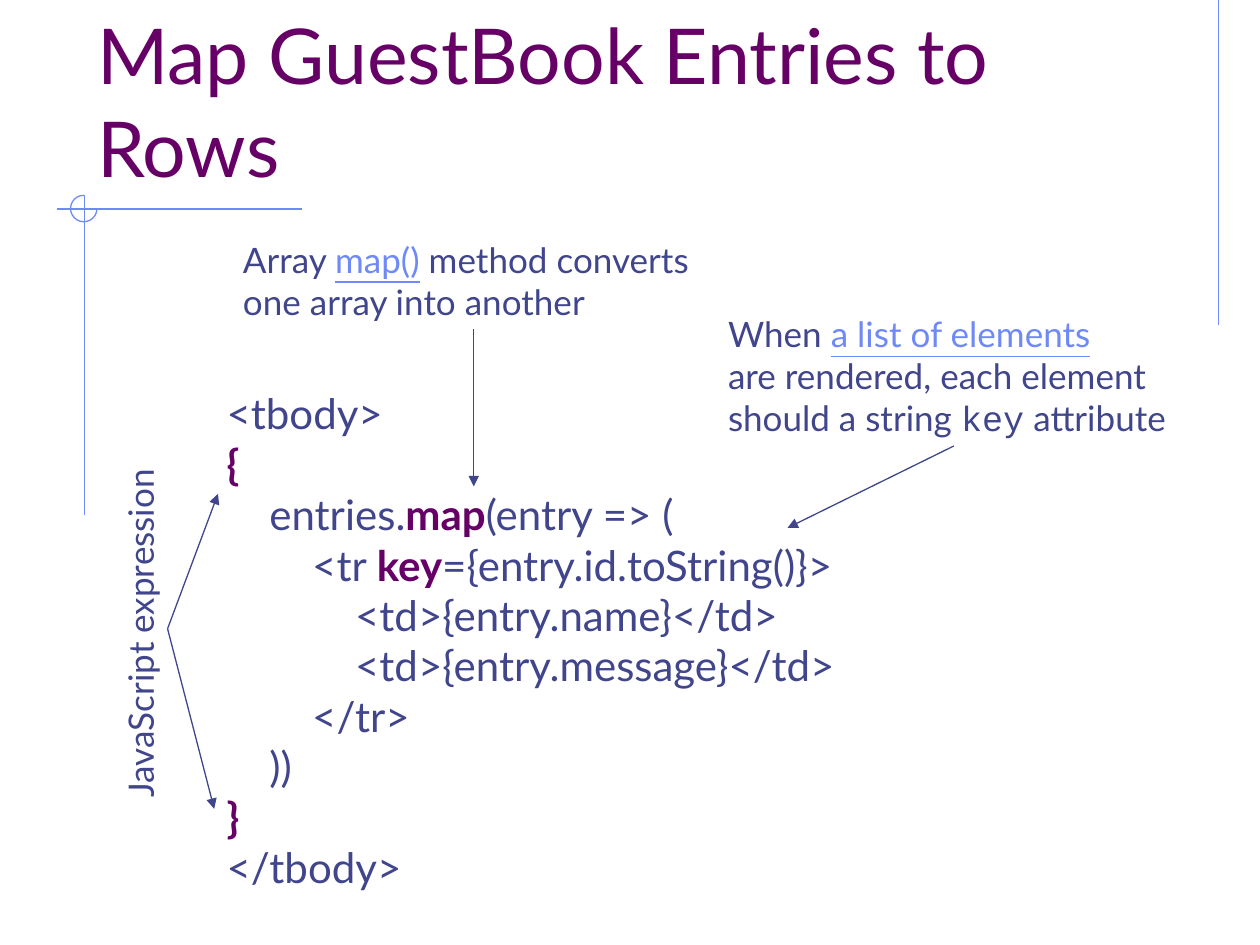
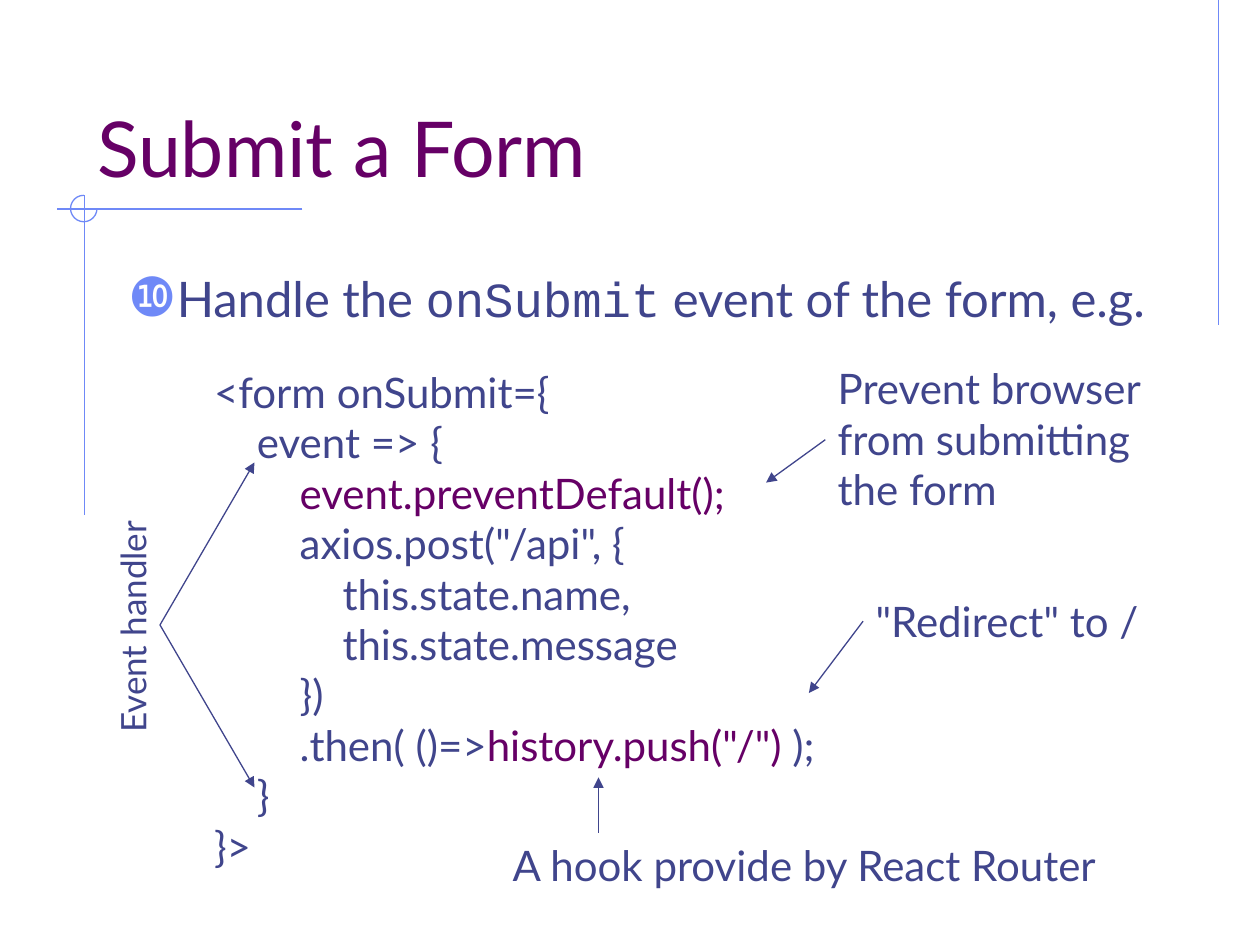
from lxml import etree
from pptx import Presentation
from pptx.dml.color import RGBColor
from pptx.enum.shapes import MSO_CONNECTOR, MSO_SHAPE
from pptx.enum.text import MSO_ANCHOR, MSO_AUTO_SIZE, PP_ALIGN
from pptx.oxml.ns import qn
from pptx.util import Inches, Pt

STRAIGHT = MSO_CONNECTOR.STRAIGHT
ARC = MSO_SHAPE.ARC
BOTTOM, TOP = MSO_ANCHOR.BOTTOM, MSO_ANCHOR.TOP
LEFT = PP_ALIGN.LEFT
FIXED, GROW = MSO_AUTO_SIZE.NONE, MSO_AUTO_SIZE.SHAPE_TO_FIT_TEXT

INK, PLUM, SKY = "40458C", "660066", "6F89F7"
FONT, MONO = "Lato", "Courier New"
CODE_INDENT = 0.34
THREE_QUARTER_TURN = 162

STYLES = {
    "plain": {},
    "title": {"color": PLUM},
    "strong": {"color": PLUM, "bold": True},
    "link": {"color": SKY, "underline": True},
    "mono": {"font": MONO},
}

RULES = [
    ((9.67, 0), (9.67, 2.58)),
    ((2.4, 1.66), (0.45, 1.66)),
    ((0.67, 1.55), (0.67, 4.09)),
]
CORNER_ARC = (0.56, 1.55, 0.21, 0.21)
TITLE_BOX = (0.67, 0.33, 8.5, 1.25)
BODY_BOX = (0.92, 2.08, 8.5, 0.67)

SLIDES = [
    {
        "title": "Map GuestBook Entries to Rows",
        "code_box": (1.7, 3.03, 5.63, 4.14),
        "code": [
            (0, ["<tbody>"]),
            (0, [("{", "strong")]),
            (1, ["entries.", ("map", "strong"), "(entry => ("]),
            (2, ["<tr ", ("key", "strong"), "={entry.id.toString()}>"]),
            (3, ["<td>{entry.name}</td>"]),
            (3, ["<td>{entry.message}</td>"]),
            (2, ["</tr>"]),
            (1, ["))"]),
            (0, [("}", "strong")]),
            (0, ["</tbody>"]),
        ],
        "side_label": ((-0.31, 4.78, 2.85, 0.44), "JavaScript expression"),
        "note_size": 20,
        "notes": [
            ((1.83, 1.84, 3.85, 0.77), [
                ["Array ", ("map()", "link"), " method converts"],
                ["one array into another"],
            ]),
            ((5.68, 2.43, 3.77, 1.11), [
                ["When ", ("a list of elements", "link")],
                ["are rendered, each element"],
                ["should a string ", ("key", "mono"), " attribute"],
            ]),
        ],
        "arrows": [
            ((1.33, 4.99), (1.73, 3.92)),
            ((1.33, 4.99), (1.7, 6.42)),
            ((3.76, 2.61), (3.76, 3.86)),
            ((7.57, 3.54), (6.25, 4.19)),
        ],
    },
    {
        "title": "Submit a Form",
        "body": ["Handle the ", ("onSubmit", "mono"), " event of the form, e.g."],
        "code_box": (1.6, 2.86, 5.59, 4.14),
        "code": [
            (0, ["<form onSubmit={"]),
            (1, ["event => {"]),
            (2, [("event.preventDefault();", "title")]),
            (2, ['axios.post("/api", {']),
            (3, ["this.state.name,"]),
            (3, ["this.state.message"]),
            (2, ["})"]),
            (2, [".then( ()=>", ('history.push("/")', "title"), " );"]),
            (1, ["}"]),
            (0, ["}>"]),
        ],
        "side_label": ((0.1, 4.74, 1.91, 0.44), "Event handler"),
        "note_size": 24,
        "notes": [
            ((6.55, 2.83, 2.62, 1.31),
             [["Prevent browser"], ["from submitting"], ["the form"]]),
            ((6.85, 4.68, 2.31, 0.5), [['"Redirect" to /']]),
            ((3.97, 6.61, 4.9, 0.5), [["A hook provide by React Router"]]),
        ],
        "arrows": [
            ((1.27, 4.96), (2.02, 3.67)),
            ((1.27, 4.96), (2.02, 6.25)),
            ((6.55, 3.49), (6.08, 3.83)),
            ((6.85, 4.93), (6.42, 5.5)),
            ((4.75, 6.61), (4.75, 6.17)),
        ],
    },
]


def rgb(color):
    return RGBColor.from_string(color)


def add_element(parent, tag, **attributes):
    return etree.SubElement(parent, qn(tag), attributes)


def place(shape, box):
    shape.left, shape.top, shape.width, shape.height = map(Inches, box)


def add_runs(paragraph, runs, size):
    paragraph.alignment = LEFT
    for item in runs:
        text, style_name = (item, "plain") if isinstance(item, str) else item
        style = STYLES[style_name]
        run = paragraph.add_run()
        run.text = text
        run.font.name = style.get("font", FONT)
        run.font.size = Pt(size)
        run.font.bold = style.get("bold", False)
        run.font.underline = style.get("underline", False)
        run.font.color.rgb = rgb(style.get("color", INK))


def add_text(slide, box, lines, size, wrap=False):
    shape = slide.shapes.add_textbox(*map(Inches, box))
    frame = shape.text_frame
    frame.word_wrap = wrap
    frame.auto_size = GROW
    for index, (level, runs) in enumerate(lines):
        paragraph = frame.add_paragraph() if index else frame.paragraphs[0]
        if level:
            properties = paragraph._p.get_or_add_pPr()
            properties.set("marL", str(Inches(level * CODE_INDENT)))
        add_runs(paragraph, runs, size)
    return shape


def fill_placeholder(shape, box, runs, size, anchor):
    place(shape, box)
    frame = shape.text_frame
    frame.word_wrap = True
    frame.auto_size = FIXED
    frame.vertical_anchor = anchor
    add_runs(frame.paragraphs[0], runs, size)
    return frame.paragraphs[0]


def add_bullet(paragraph):
    properties = paragraph._p.get_or_add_pPr()
    properties.set("marL", str(Inches(0.38)))
    properties.set("indent", str(Inches(-0.38)))
    add_element(add_element(properties, "a:buClr"), "a:srgbClr", val=SKY)
    add_element(properties, "a:buSzPct", val="110000")
    add_element(properties, "a:buChar", char="❿")


def add_line(slide, start, end, color, arrow=False):
    points = map(Inches, (*start, *end))
    connector = slide.shapes.add_connector(STRAIGHT, *points)
    connector.line.color.rgb = rgb(color)
    connector.line.width = Pt(0.75)
    if arrow:
        add_element(connector.line._get_or_add_ln(), "a:tailEnd", type="triangle")
    add_element(connector._element.spPr, "a:effectLst")
    return connector


def decorate_master(master, slide):
    ornaments = [add_line(slide, start, end, SKY) for start, end in RULES]
    arc = slide.shapes.add_shape(ARC, *map(Inches, CORNER_ARC))
    arc.adjustments[0] = 0
    arc.adjustments[1] = THREE_QUARTER_TURN
    arc.shadow.inherit = False
    arc.fill.background()
    arc.line.color.rgb = rgb(SKY)
    arc.line.width = Pt(0.75)
    for ornament in ornaments + [arc]:
        master.shapes.element.append(ornament.element)


def build_slide(presentation, content):
    layout = presentation.slide_layouts[1 if "body" in content else 5]
    slide = presentation.slides.add_slide(layout)
    title_runs = [(content["title"], "title")]
    fill_placeholder(slide.shapes.title, TITLE_BOX, title_runs, 44, BOTTOM)
    if "body" in content:
        body = slide.placeholders[1]
        add_bullet(fill_placeholder(body, BODY_BOX, content["body"], 28, TOP))
    add_text(slide, content["code_box"], content["code"], 24, wrap=True)
    label_box, label = content["side_label"]
    add_text(slide, label_box, [(0, [label])], 20).rotation = 270
    for box, lines in content["notes"]:
        add_text(slide, box, [(0, runs) for runs in lines], content["note_size"])
    for start, end in content["arrows"]:
        add_line(slide, start, end, INK, arrow=True)
    return slide


presentation = Presentation()
presentation.slide_width = Inches(10)
presentation.slide_height = Inches(7.5)
slides = [build_slide(presentation, content) for content in SLIDES]
decorate_master(presentation.slide_master, slides[0])
presentation.save("out.pptx")
